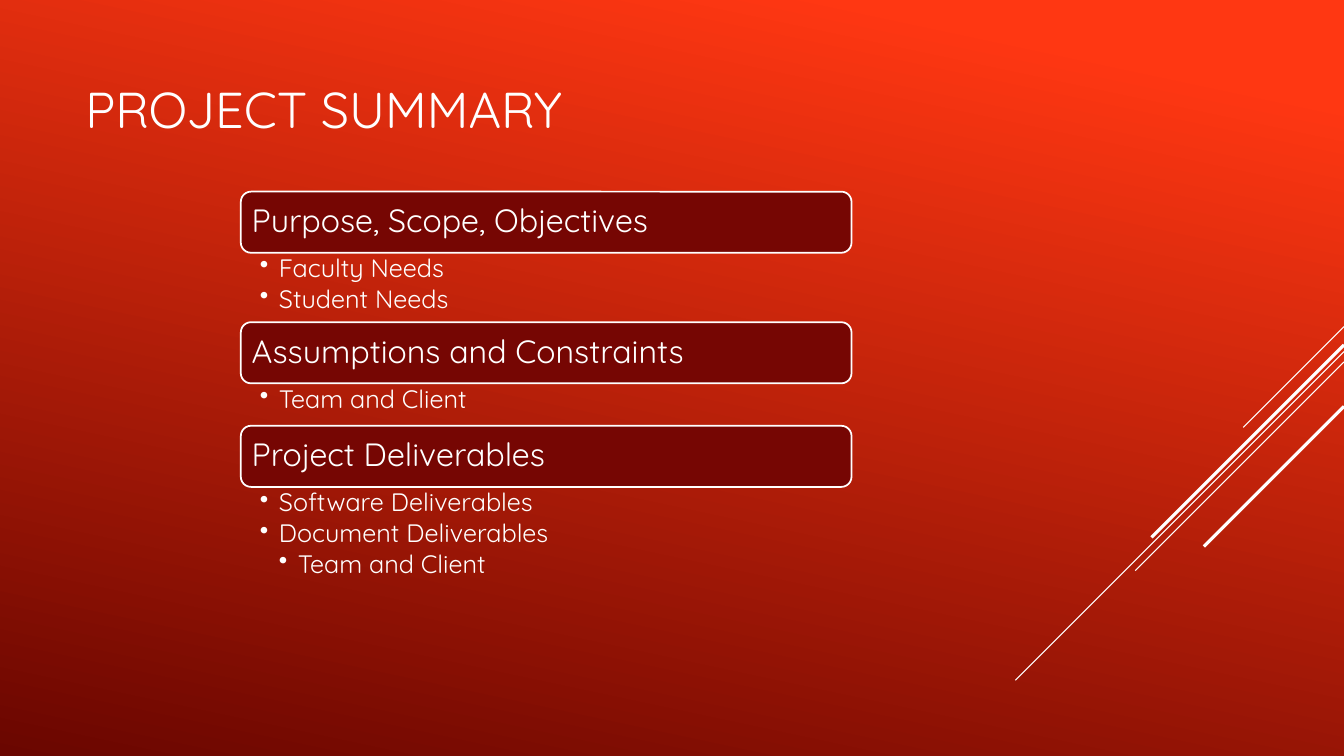
from lxml import etree
from pptx import Presentation
from pptx.dml.color import RGBColor
from pptx.enum.shapes import MSO_CONNECTOR, MSO_SHAPE
from pptx.enum.text import MSO_ANCHOR, MSO_AUTO_SIZE, PP_ALIGN
from pptx.oxml.ns import qn
from pptx.util import Cm, Pt

LINE = MSO_CONNECTOR.STRAIGHT
ROUNDED = MSO_SHAPE.ROUNDED_RECTANGLE
MIDDLE, TOP = MSO_ANCHOR.MIDDLE, MSO_ANCHOR.TOP
LEFT = PP_ALIGN.LEFT
NO_FIT = MSO_AUTO_SIZE.NONE

WHITE = RGBColor(0xFF, 0xFF, 0xFF)
BRIGHT_RED = RGBColor(0xFF, 0x37, 0x12)
DEEP_RED = RGBColor(0x6A, 0x06, 0x00)
HEADER_RED = RGBColor(0x76, 0x06, 0x03)
FONT = "Quicksand"

SLIDE_W, SLIDE_H = 33.87, 19.05
HEADER_H = 1.54
BULLET_INDENT = 0.48

SECTIONS = [
    ("Purpose, Scope, Objectives", 1.75,
     [("Faculty Needs", 1), ("Student Needs", 1)]),
    ("Assumptions and Constraints", 1.07, [("Team and Client", 1)]),
    ("Project Deliverables", 2.59,
     [("Software Deliverables", 1), ("Document Deliverables", 1),
      ("Team and Client", 2)]),
]
DIAGONALS = [(0, 2.54, 0.75), (0.63, 8.28, 0.75), (0.89, 5.26, 0.75),
             (0.46, 4.85, 2.25), (2.01, 3.53, 2.25)]


def style_paragraph(p, size, spacing=0.9):
    """Format a paragraph and its runs in the slide's white type."""
    p.alignment = LEFT
    p.line_spacing = spacing
    for r in p.runs:
        r.font.name = FONT
        r.font.size = Pt(size)
        r.font.color.rgb = WHITE


def set_frame(tf, anchor, side, edge):
    """Set wrapping, anchor and side and top/bottom insets in cm."""
    tf.word_wrap = True
    tf.auto_size = NO_FIT
    tf.vertical_anchor = anchor
    tf.margin_left = tf.margin_right = Cm(side)
    tf.margin_top = tf.margin_bottom = Cm(edge)


def add_background(s):
    """Fill the slide with the red gradient."""
    fill = s.background.fill
    fill.gradient()
    fill.gradient_angle = 258
    stops = [(0.1, BRIGHT_RED), (1, DEEP_RED)]
    for stop, (position, color) in zip(fill.gradient_stops, stops):
        stop.position = position
        stop.color.rgb = color


def add_diagonals(s, right, top):
    """Draw the 45-degree lines running down from the right edge."""
    for offset, length, weight in DIAGONALS:
        y = top + offset
        line = s.shapes.add_connector(LINE, Cm(right), Cm(y),
                                      Cm(right - length), Cm(y + length))
        line.line.color.rgb = WHITE
        line.line.width = Pt(weight)
        etree.SubElement(line._element.spPr, qn("a:effectLst"))


def set_title(s, text, left, top, width, height):
    """Place and format the title placeholder."""
    sp = s.shapes.title
    sp.left, sp.top, sp.width, sp.height = map(Cm, (left, top, width, height))
    tf = sp.text_frame
    tf.text = text
    set_frame(tf, MIDDLE, 0.25, 0.13)
    style_paragraph(tf.paragraphs[0], 36, 1.0)


def add_header(s, text, left, top, width):
    """Draw a rounded section header."""
    sp = s.shapes.add_shape(ROUNDED, Cm(left), Cm(top), Cm(width),
                            Cm(HEADER_H))
    sp.shadow.inherit = False
    sp.fill.solid()
    sp.fill.fore_color.rgb = HEADER_RED
    sp.line.color.rgb = WHITE
    sp.line.width = Pt(1.25)
    tf = sp.text_frame
    tf.text = text
    set_frame(tf, MIDDLE, 0.2, 0.2)
    style_paragraph(tf.paragraphs[0], 23)


def add_bullets(s, items, left, top, width, height):
    """Write the bulleted items below a section header."""
    sp = s.shapes.add_textbox(Cm(left), Cm(top), Cm(width), Cm(height))
    tf = sp.text_frame
    tf.text = "\n".join(text for text, _ in items)
    set_frame(tf, TOP, 0.48, 0.08)
    for p, (_, level) in zip(tf.paragraphs, items):
        p.level = level
        style_paragraph(p, 18)
        p.space_after = Pt(2.6)
        pPr = p._p.get_or_add_pPr()
        pPr.set("marL", str(Cm(BULLET_INDENT * level)))
        pPr.set("indent", str(-Cm(BULLET_INDENT)))
        etree.SubElement(pPr, qn("a:buChar"), char="•")


def add_sections(s, left, top, width):
    """Stack the headers and their bullet lists."""
    for header, height, items in SECTIONS:
        add_header(s, header, left, top, width)
        add_bullets(s, items, left, top + HEADER_H, width, height)
        top += HEADER_H + height


def build_summary_slide(prs):
    """Build the project summary slide."""
    s = prs.slides.add_slide(prs.slide_layouts.get_by_name("Title Only"))
    add_background(s)
    add_diagonals(s, SLIDE_W, 8.23)
    set_title(s, "PROJECT SUMMARY", 1.9, 0.64, 23.7, 4.19)
    add_sections(s, 6.07, 4.83, 15.39)


prs = Presentation()
prs.slide_width, prs.slide_height = Cm(SLIDE_W), Cm(SLIDE_H)
build_summary_slide(prs)
prs.save("out.pptx")
